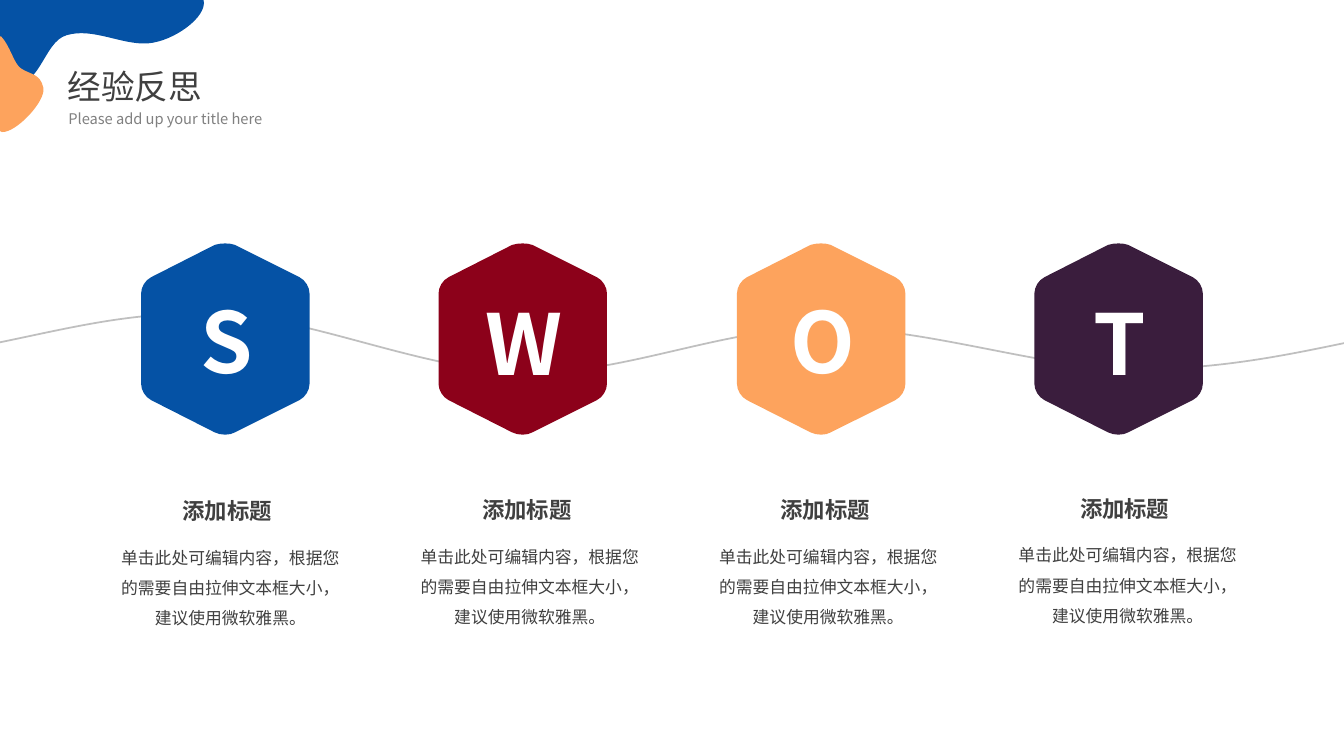
"""Build a SWOT slide with four hexagons strung on a wavy line."""
from lxml import etree
from pptx import Presentation
from pptx.dml.color import RGBColor
from pptx.enum.text import MSO_ANCHOR, MSO_AUTO_SIZE, PP_ALIGN
from pptx.oxml.ns import qn
from pptx.util import Pt

TOP = MSO_ANCHOR.TOP
GROW = MSO_AUTO_SIZE.SHAPE_TO_FIT_TEXT
LEFT, MID = PP_ALIGN.LEFT, PP_ALIGN.CENTER
PX = 9144
FONT = "Noto Sans CJK SC"
HUES = {
    "blue": "0552A5", "red": "8C011A", "peach": "FDA35D", "plum": "3A1D3D",
    "white": "FFFFFF", "dark": "404040", "gray": "808080", "pale": "BFBFBF",
}
COLOR = {name: RGBColor.from_string(hue) for name, hue in HUES.items()}
BODY = "单击此处可编辑内容，根据您的需要自由拉伸文本框大小，建议使用微软雅黑。"

STYLES = {
    "title": ({"size": Pt(24), "bold": False, "color": "dark"}, {"alignment": LEFT}),
    "sub": ({"size": Pt(10.5), "color": "gray"}, {"alignment": LEFT, "line_spacing": 1.2}),
    "mark": ({"size": Pt(60), "bold": True, "color": "white"}, {"alignment": MID}),
    "head": ({"size": Pt(16), "bold": True, "color": "dark"}, {"alignment": MID}),
    "body": ({"size": Pt(12), "color": "dark"}, {"alignment": MID, "line_spacing": 1.5}),
}

WAVE = [
    (0, 28), (78, 12, 141, -5, 227, 0), (314, 5, 423, 55, 521, 58),
    (619, 60, 717, 14, 816, 13), (915, 12, 1028, 51, 1115, 54),
    (1201, 56, 1270, 42, 1337, 28),
]
HEX = [
    (73, 2), (79, 0, 88, 0, 93, 2), (157, 34), (163, 37, 167, 44, 167, 50),
    (167, 140), (167, 146, 163, 153, 157, 156), (93, 188), (88, 191, 79, 191, 73, 188),
    (10, 156), (4, 153, 0, 146, 0, 140), (0, 50), (0, 44, 4, 37, 10, 34),
]
BLOB = [
    (0, 0), (202, 0), (206, 17, 172, 41, 147, 43), (121, 45, 92, 27, 66, 35),
    (42, 42, 42, 90, 0, 91),
]
DROP = [
    (0, 0), (1, 0), (10, 9, 14, 28, 21, 32), (30, 38, 40, 37, 43, 51),
    (46, 64, 16, 96, 2, 95), (0, 94),
]

deck = Presentation()
deck.slide_width, deck.slide_height = 1333 * PX, 750 * PX
slide = deck.slides.add_slide(deck.slide_layouts[5])
shapes = slide.shapes


def draw(moves, hue, area, close=True):
    left, top, width, height = [side * PX for side in area]
    pen = shapes.build_freeform(left, top, scale=1.0)
    pen.add_line_segments([(left + width, top), (left + width, top + height)], close=False)
    form = pen.convert_to_shape()
    track = next(form._element.iter(qn("a:path")))
    for part in list(track):
        track.remove(part)
    for i, move in enumerate(moves):
        kind = "moveTo" if i == 0 else "lnTo" if len(move) == 2 else "cubicBezTo"
        part = etree.SubElement(track, qn("a:" + kind))
        for x, y in zip(move[::2], move[1::2]):
            etree.SubElement(part, qn("a:pt"), x=str(x * PX), y=str(y * PX))
    form.shadow.inherit = False
    if close:
        etree.SubElement(track, qn("a:close"))
        form.fill.solid()
        form.fill.fore_color.rgb = COLOR[hue]
        form.line.fill.background()
    else:
        form.fill.background()
        form.line.color.rgb = COLOR[hue]
        form.line.width = Pt(1.25)


def write(text, style, area, box=None):
    left, top, width, height = [side * PX for side in area]
    box = box or shapes.add_textbox(left, top, width, height)
    place = {"left": left, "top": top, "width": width, "height": height}
    for name, value in place.items():
        setattr(box, name, value)
    frame = box.text_frame
    for name, value in {"word_wrap": True, "auto_size": GROW, "vertical_anchor": TOP}.items():
        setattr(frame, name, value)
    para = frame.paragraphs[0]
    run = para.add_run()
    run.text = text
    look, flow = STYLES[style]
    for name, value in flow.items():
        setattr(para, name, value)
    for name, value in look.items():
        if name == "color":
            run.font.color.rgb = COLOR[value]
        else:
            setattr(run.font, name, value)
    run.font.name = FONT
    east = etree.SubElement(run.font._element, qn("a:ea"))
    east.set("typeface", FONT)


draw(WAVE, "pale", (-2, 312, 1337, 58), close=False)

cards = [("S", "blue", 488), ("W", "red", 487), ("O", "peach", 487), ("T", "plum", 486)]
for i, (mark, hue, top) in enumerate(cards):
    shift = round(295.4 * i)
    left = 106 + round(296.7 * i)
    draw(HEX, hue, (140 + shift, 241, 167, 191))
    write(mark, "mark", (174 + shift, 282 + i % 2 * 2, 102, 111))
    write(BODY, "body", (left, top + 40, 245, 97))
    write("添加标题", "head", (left, top, 239, 37))

write("经验反思", "title", (57, 60, 249, 50), shapes.title)
write("Please add up your title here", "sub", (58, 101, 228, 31))
draw(BLOB, "blue", (0, 0, 203, 91))
draw(DROP, "peach", (0, 36, 44, 95))

deck.save("out.pptx")
